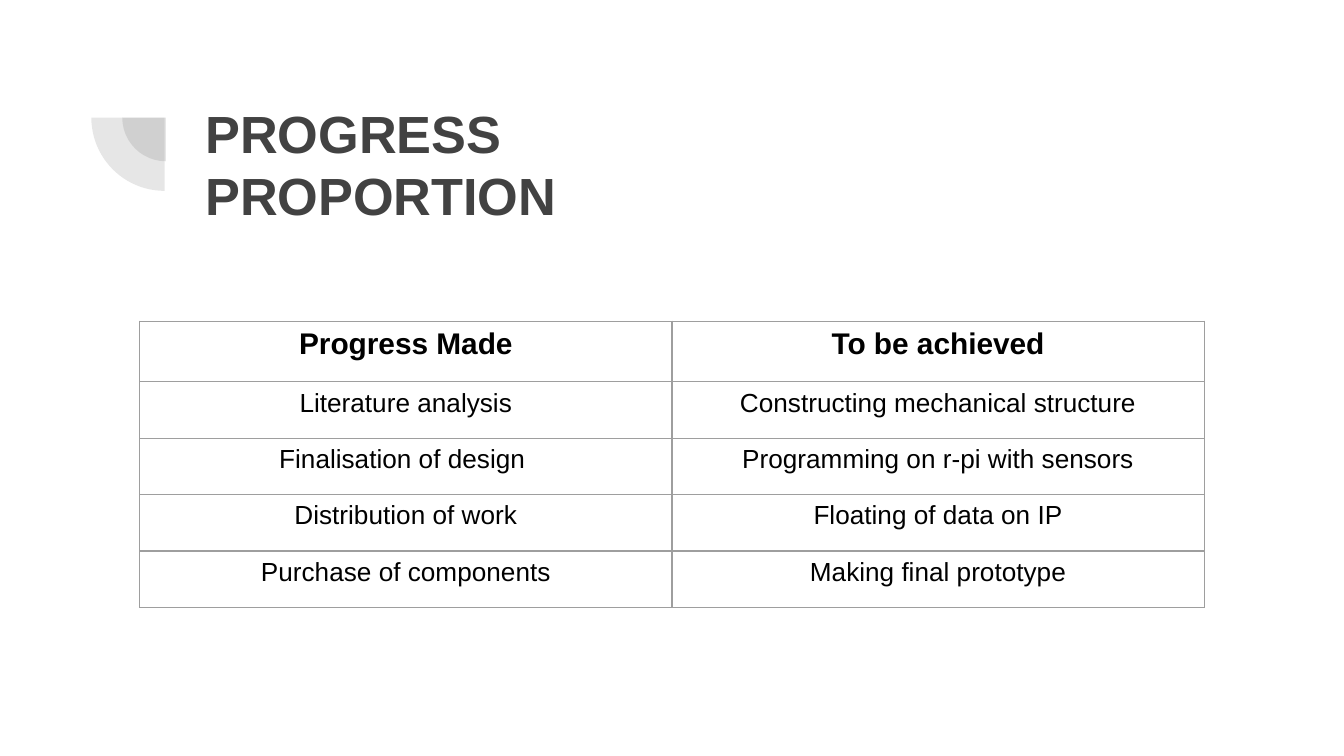
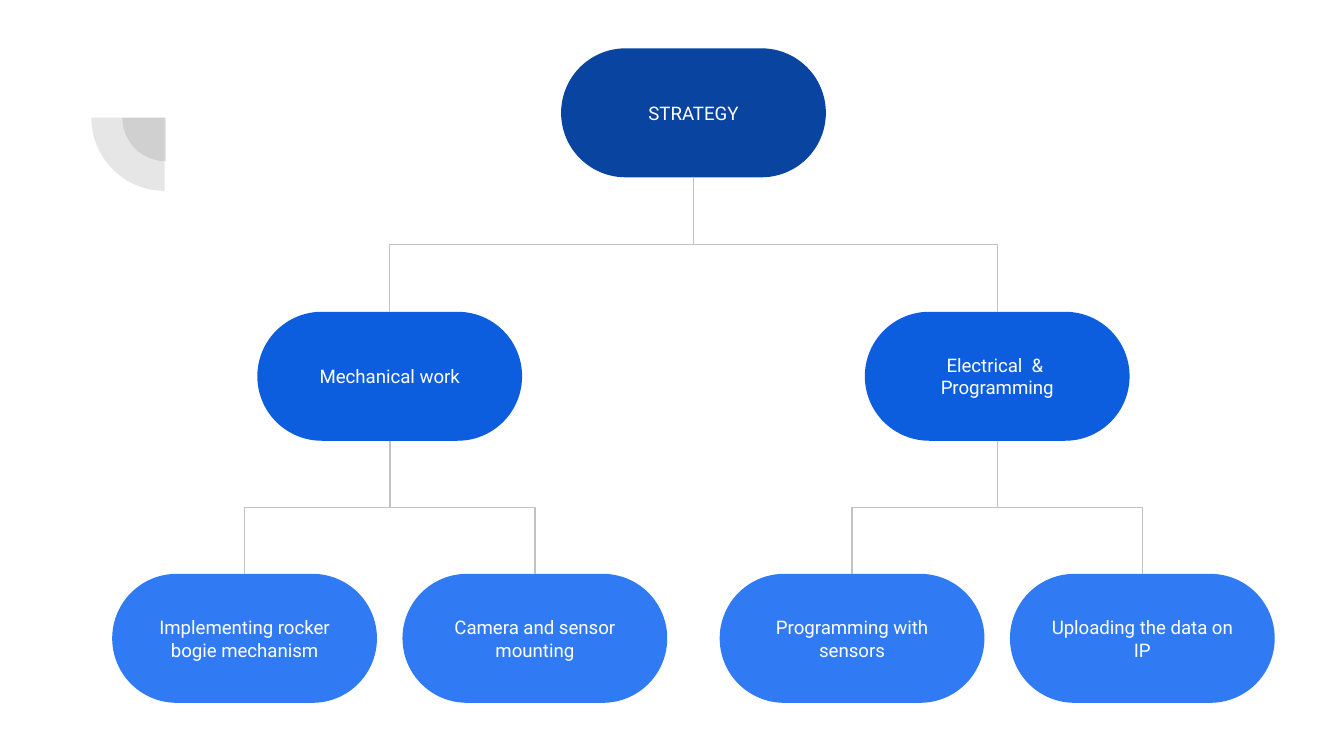
"""Build a progress table slide and a strategy tree slide."""
from dataclasses import dataclass
from typing import NamedTuple

from lxml import etree
from pptx import Presentation
from pptx.dml.color import RGBColor
from pptx.enum.shapes import MSO_CONNECTOR, MSO_SHAPE
from pptx.enum.text import MSO_ANCHOR, PP_ALIGN
from pptx.oxml.ns import qn
from pptx.shapes.autoshape import Shape
from pptx.slide import Slide
from pptx.table import _Cell
from pptx.text.text import TextFrame, _Paragraph
from pptx.util import Inches, Pt

PIE, ROUNDED = MSO_SHAPE.PIE, MSO_SHAPE.ROUNDED_RECTANGLE
ELBOW = MSO_CONNECTOR.ELBOW
CENTER, LEFT = PP_ALIGN.CENTER, PP_ALIGN.LEFT
MIDDLE = MSO_ANCHOR.MIDDLE

WHITE = RGBColor(0xFF, 0xFF, 0xFF)
BLACK = RGBColor(0x00, 0x00, 0x00)
CHARCOAL = RGBColor(0x42, 0x42, 0x42)
TABLE_GREY = RGBColor(0x9E, 0x9E, 0x9E)
LINK_GREY = RGBColor(0xC2, 0xC2, 0xC2)
NAVY = RGBColor(0x09, 0x44, 0xA1)
BLUE = RGBColor(0x0D, 0x5D, 0xDF)
SKY = RGBColor(0x30, 0x7B, 0xF3)

ARIAL, ROBOTO = "Arial", "Roboto"
PIE_ALPHA = 13000
SLIDE_W = Inches(10)
SLIDE_H = SLIDE_W * 9 // 16
INSET = Inches(0.1)
NODE_W, NODE_H = 1.97, 0.96
ROOT_X = 5.155


class TextStyle(NamedTuple):
    """Look of a run and its paragraph."""

    font: str
    size: float
    color: RGBColor
    bold: bool = False
    align: PP_ALIGN = CENTER


class Level(NamedTuple):
    """Top, fill and distance to child centres of a tree level."""

    top: float
    fill: RGBColor
    spread: float


@dataclass(frozen=True)
class Node:
    """A tree node with its lines of text and left and right children."""

    lines: tuple[str, ...]
    children: tuple["Node", ...] = ()


TITLE = TextStyle(ARIAL, 28, CHARCOAL, True, LEFT)
HEADER = TextStyle(ARIAL, 16, BLACK, True)
BODY = TextStyle(ARIAL, 14, BLACK)
LABEL = TextStyle(ROBOTO, 10, WHITE)

PROGRESS = (
    ("Progress Made", "To be achieved"),
    ("Literature analysis", "Constructing mechanical structure"),
    ("Finalisation of design ", "Programming on r-pi with sensors"),
    ("Distribution of work", "Floating of data on IP"),
    ("Purchase of components", "Making final prototype"),
)

LEVELS = (Level(0.36, NAVY, 2.26), Level(2.32, BLUE, 1.08), Level(4.27, SKY, 0))
STRATEGY = Node(("STRATEGY",), (
    Node(("Mechanical work",), (
        Node(("Implementing rocker bogie mechanism",)),
        Node(("Camera and sensor mounting",)),
    )),
    Node(("Electrical  & ", "Programming"), (
        Node(("Programming with sensors",)),
        Node(("Uploading the data on IP",)),
    )),
))


def add_run(p: _Paragraph, text: str, style: TextStyle) -> None:
    """Add one styled run to a paragraph."""
    p.alignment = style.align
    r = p.add_run()
    r.text = text
    r.font.name = style.font
    r.font.size = Pt(style.size)
    r.font.bold = style.bold
    r.font.color.rgb = style.color


def set_up_frame(tf: TextFrame) -> None:
    """Turn wrapping on and set equal insets."""
    tf.word_wrap = True
    tf.margin_left = tf.margin_right = tf.margin_top = tf.margin_bottom = INSET


def add_filled_shape(s: Slide, kind: MSO_SHAPE, left: float, top: float,
                     width: float, height: float, fill: RGBColor) -> Shape:
    """Add a flat shape without outline."""
    sp = s.shapes.add_shape(kind, Inches(left), Inches(top), Inches(width), Inches(height))
    sp.shadow.inherit = False
    sp.fill.solid()
    sp.fill.fore_color.rgb = fill
    sp.line.fill.background()
    return sp


def add_quarter(s: Slide, left: float, top: float, size: float) -> None:
    """Add a translucent quarter disc."""
    sp = add_filled_shape(s, PIE, left, top, size, size, CHARCOAL)
    sp.rotation = 270
    sp.adjustments[0], sp.adjustments[1] = 108, 162
    color = sp._element.spPr.find(qn("a:solidFill"))[0]
    etree.SubElement(color, qn("a:alpha"), val=str(PIE_ALPHA))


def add_base_slide(prs: Presentation) -> Slide:
    """Add a white blank slide with the corner ornament."""
    s = prs.slides.add_slide(prs.slide_layouts[6])
    s.background.fill.solid()
    s.background.fill.fore_color.rgb = WHITE
    add_quarter(s, 0.91, 0.55, 0.65)
    add_quarter(s, 0.68, 0.33, 1.09)
    return s


def add_title(s: Slide, text: str) -> None:
    """Add the slide title."""
    tf = s.shapes.add_textbox(Inches(1.43), Inches(0.65), Inches(4.99), Inches(0.58)).text_frame
    set_up_frame(tf)
    add_run(tf.paragraphs[0], text, TITLE)


def set_borders(cell: _Cell) -> None:
    """Draw a thin grey line on each side of a cell."""
    tc_pr = cell._tc.get_or_add_tcPr()
    for i, side in enumerate(("lnL", "lnR", "lnT", "lnB")):
        ln = etree.Element(qn(f"a:{side}"), w=str(Pt(0.75)))
        fill = etree.SubElement(ln, qn("a:solidFill"))
        etree.SubElement(fill, qn("a:srgbClr"), val=str(TABLE_GREY))
        tc_pr.insert(i, ln)


def add_progress_table(s: Slide) -> None:
    """Add the table of finished and open work."""
    frame = s.shapes.add_table(len(PROGRESS), len(PROGRESS[0]), Inches(1.04), Inches(2.39),
                               Inches(7.92), Inches(2.12))
    table = frame.table
    table.first_row = table.horz_banding = False
    for i, texts in enumerate(PROGRESS):
        table.rows[i].height = Inches(0.42 if i else 0.45)
        for j, text in enumerate(texts):
            cell = table.cell(i, j)
            cell.margin_left = cell.margin_right = INSET
            cell.margin_top = cell.margin_bottom = Inches(0.05)
            cell.fill.background()
            set_borders(cell)
            add_run(cell.text_frame.paragraphs[0], text, BODY if i else HEADER)


def add_link(s: Slide, parent_x: float, child_x: float, top: float, bottom: float) -> None:
    """Add a vertical elbow from a parent down to a child."""
    mid_x, mid_y = (parent_x + child_x) / 2, (top + bottom) / 2
    half_w, half_h = (bottom - top) / 2, abs(child_x - parent_x) / 2
    if child_x > parent_x:
        half_w = -half_w
    c = s.shapes.add_connector(ELBOW, Inches(mid_x - half_w), Inches(mid_y - half_h),
                               Inches(mid_x + half_w), Inches(mid_y + half_h))
    c.line.color.rgb = LINK_GREY
    c.line.width = Pt(0.75)
    sp_pr = c._element.spPr
    sp_pr.find(qn("a:xfrm")).set("rot", str(270 * 60000))
    etree.SubElement(sp_pr, qn("a:effectLst"))


def add_tree(s: Slide, node: Node, x: float, depth: int = 0) -> None:
    """Add a node centred on x, then its children and links."""
    level = LEVELS[depth]
    sp = add_filled_shape(s, ROUNDED, x - NODE_W / 2, level.top, NODE_W, NODE_H, level.fill)
    sp.adjustments[0] = 0.5
    tf = sp.text_frame
    set_up_frame(tf)
    tf.vertical_anchor = MIDDLE
    for i, line in enumerate(node.lines):
        add_run(tf.add_paragraph() if i else tf.paragraphs[0], line, LABEL)
    for child, side in zip(node.children, (-1, 1)):
        child_x = x + side * level.spread
        add_tree(s, child, child_x, depth + 1)
        add_link(s, x, child_x, level.top + NODE_H, LEVELS[depth + 1].top)


def main() -> None:
    """Build and save both slides."""
    prs = Presentation()
    prs.slide_width, prs.slide_height = SLIDE_W, SLIDE_H
    s = add_base_slide(prs)
    add_title(s, "PROGRESS PROPORTION")
    add_progress_table(s)
    add_tree(add_base_slide(prs), STRATEGY, round(ROOT_X, 2))
    prs.save("out.pptx")


if __name__ == "__main__":
    main()
